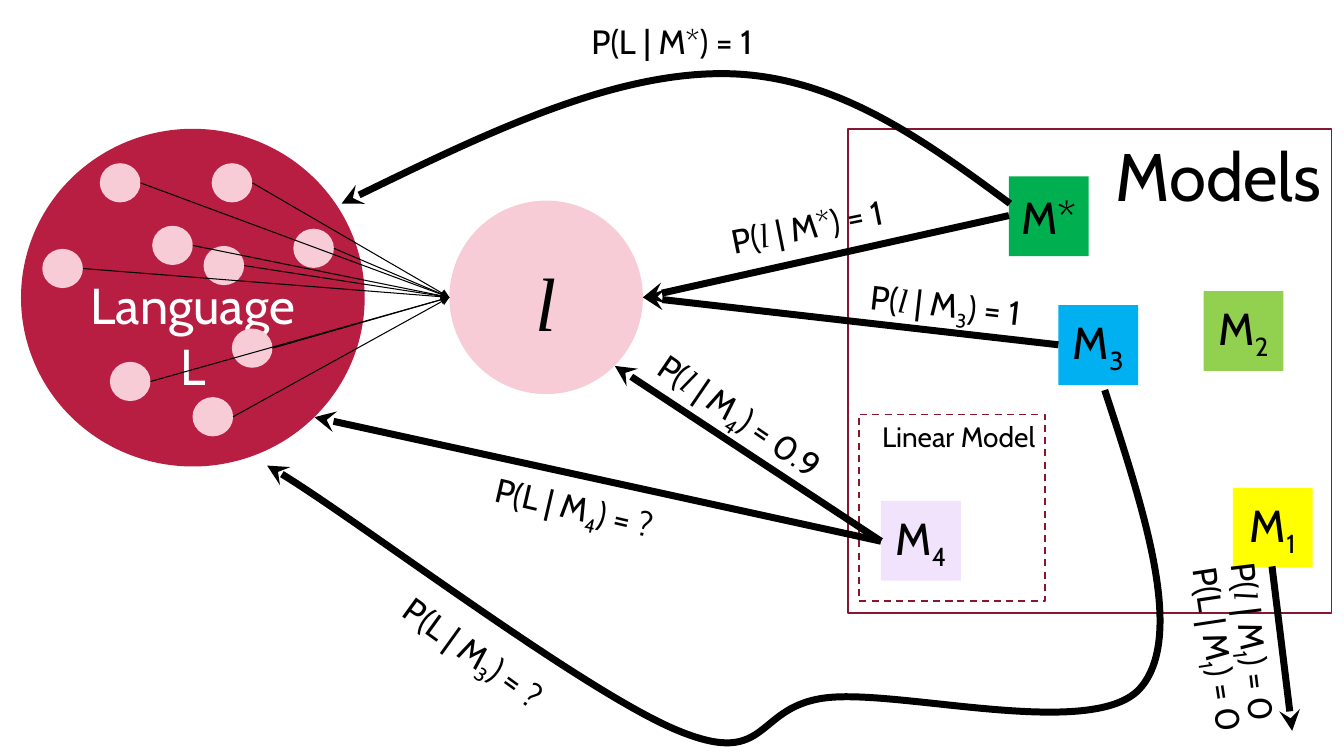
import pptx
import pptx.util
import pptx.dml.color
import pptx.enum.dml
import pptx.enum.shapes
import pptx.enum.text
import pptx.oxml.ns
import lxml.etree

Pt = pptx.util.Pt
qn = pptx.oxml.ns.qn
SHAPES = pptx.enum.shapes.MSO_SHAPE
ALIGN = pptx.enum.text.PP_ALIGN
ANCHOR = pptx.enum.text.MSO_ANCHOR

COLORS = {
    "language": "B71E42", "sample": "F7CCD6", "frame": "871631",
    "ink": "000000", "paper": "FFFFFF", "green": "00B050", "yellow": "FFFF00",
    "lime": "92D050", "blue": "00B0F0", "lilac": "F2E3FC",
}
SENTENCE_SIZE = (29, 28)
SENTENCES = [
    (151.2, 116.6), (71.3, 116.6), (30.2, 177.8), (108.7, 161.3), (145.4, 175.7),
    (209.5, 163.4), (78.5, 258.5), (165.6, 234.7), (137.5, 283.7),
]
LANGUAGE_BOX = (15, 92, 245.5, 241.2)
SAMPLE_BOX = (321, 143.3, 138.2, 138.2)
SAMPLE_LEFT, SAMPLE_RIGHT = (321, 212.4), (459.2, 212.4)
MODEL_SIZE = 57
MODELS = [
    ("M*", 720.7, 126, "green"), ("M1", 880.6, 348.5, "yellow"),
    ("M2", 859.7, 208, "lime"), ("M4", 629.3, 357.8, "lilac"),
    ("M3", 756, 218, "blue"),
]
FRAMES = [
    ("Models", 48, (605.5, 92.2, 345.6, 345.6), False),
    ("Linear Model", 20, (613.4, 296, 133.2, 133.2), True),
]
M4_EDGE = (629.3, 386.6)
ARROWS = [
    ((908.6, 404.6), (923, 522)), ((720.7, 154), SAMPLE_RIGHT),
    (M4_EDGE, (439.2, 261.4)), (M4_EDGE, (224.6, 298)),
    ((756, 246.3), SAMPLE_RIGHT),
]
CURVES = [
    [(721.4, 145.4), (658, 98.6), (594.7, 52.6), (515.5, 52.6),
     (435.6, 52.6), (339.8, 98.6), (244, 145.4)],
    [(789.1, 278.6), (817.9, 366.5), (846.7, 455), (814.3, 491.8),
     (781.2, 528.5), (647.3, 493.2), (592.6, 498.2),
     (537.8, 503.3), (551.5, 549.4), (484.6, 522),
     (417.6, 494.6), (234.7, 355.7), (190.8, 332.6)],
]
PROBABILITIES = [
    ("L", "M*", "1", 410.4, 11.5, 139, 0),
    ("L", "M4", "?", 340.6, 344.2, 139.7, 13.2),
    ("l", "M*", "1", 509, 143.3, 134.6, -11.4),
    ("l", "M4", "0.9", 451.4, 278.6, 154.8, 34.4),
    ("l", "M3", "1", 607, 199.4, 136.8, 6.4),
    ("L", "M3", "?", 268.6, 447.8, 139.7, 35.8),
    ("L", "M1", "0", 800.6, 445.7, 139, 81.4),
    ("l", "M1", "0", 828, 440.6, 134.6, 83.1),
]


def rgb(color):
    return pptx.dml.color.RGBColor.from_string(COLORS[color])


def model_runs(model):
    return [(model, "")] if model == "M*" else [(model[0], ""), (model[1], "sub")]


def probability_runs(target, model, value):
    opening = [("P(", ""), ("l", "italic"), (" | ", "")] if target == "l" else [("P(L | ", "")]
    return opening + model_runs(model) + [(f") = {value}", "")]


def write(shape, lines, size, color="ink", align=ALIGN.CENTER, anchor=ANCHOR.MIDDLE):
    frame = shape.text_frame
    frame.vertical_anchor = anchor
    for number, line in enumerate(lines):
        paragraph = frame.add_paragraph() if number else frame.paragraphs[0]
        paragraph.alignment = align
        paragraph.font.size = Pt(size)
        paragraph.font.name = "Cabin"
        paragraph.font.color.rgb = rgb(color)
        for text, style in line:
            run = paragraph.add_run()
            run.text = text
            if style == "italic":
                run.font.name = "Times New Roman"
                run.font.italic = True
            elif style == "sub":
                run.font._element.set("baseline", "-25000")


def add_block(slide, preset, box, fill):
    block = slide.shapes.add_shape(preset, *map(Pt, box))
    block.shadow.inherit = False
    block.line.fill.background()
    if fill:
        block.fill.solid()
        block.fill.fore_color.rgb = rgb(fill)
    else:
        block.fill.background()
    return block


def style_arrow(arrow, width, head):
    arrow.line.color.rgb = rgb("ink")
    arrow.line.width = Pt(width)
    properties = arrow._element.spPr
    lxml.etree.SubElement(properties.find(qn("a:ln")), qn("a:tailEnd"), type=head)
    if properties.find(qn("a:effectLst")) is None:
        lxml.etree.SubElement(properties, qn("a:effectLst"))


def add_arrow(slide, start, end, width, head):
    arrow = slide.shapes.add_connector(
        pptx.enum.shapes.MSO_CONNECTOR.STRAIGHT, *map(Pt, start + end))
    style_arrow(arrow, width, head)


def add_curve(slide, points):
    start, *controls = [(Pt(x), Pt(y)) for x, y in points]
    builder = slide.shapes.build_freeform(*start)
    builder.add_line_segments(controls, close=False)
    curve = builder.convert_to_shape()
    curve.fill.background()
    segments = list(curve._element.iter(qn("a:lnTo")))
    for first in range(0, len(segments), 3):
        bend = lxml.etree.Element(qn("a:cubicBezTo"))
        segments[first].addprevious(bend)
        for segment in segments[first:first + 3]:
            bend.append(segment[0])
            segment.getparent().remove(segment)
    style_arrow(curve, 5, "stealth")


def main():
    """Build the slide of models, a language and their probabilities."""
    deck = pptx.Presentation()
    deck.slide_width, deck.slide_height = Pt(960), Pt(540)
    slide = deck.slides.add_slide(deck.slide_layouts[6])

    language = add_block(slide, SHAPES.OVAL, LANGUAGE_BOX, "language")
    language.text_frame.margin_top = Pt(57)
    write(language, [[("Language", "")], [("L", "")]], 36, "paper")
    width, height = SENTENCE_SIZE
    for left, top in SENTENCES:
        add_block(slide, SHAPES.OVAL, (left, top, width, height), "sample")
    sample = add_block(slide, SHAPES.OVAL, SAMPLE_BOX, "sample")
    sample.text_frame.margin_top = Pt(8.6)
    write(sample, [[("l", "italic")]], 54)
    for left, top in SENTENCES:
        add_arrow(slide, (left + width, top + height / 2), SAMPLE_LEFT, 0.75, "triangle")

    for title, size, box, dashed in FRAMES:
        frame = add_block(slide, SHAPES.RECTANGLE, box, None)
        frame.line.color.rgb = rgb("frame")
        frame.line.width = Pt(1.25)
        if dashed:
            frame.line.dash_style = pptx.enum.dml.MSO_LINE.DASH
        write(frame, [[(title, "")]], size, align=ALIGN.RIGHT, anchor=ANCHOR.TOP)
    for model, left, top, fill in MODELS:
        square = add_block(slide, SHAPES.RECTANGLE, (left, top, MODEL_SIZE, MODEL_SIZE), fill)
        write(square, [model_runs(model)], 32)

    for start, end in ARROWS:
        add_arrow(slide, start, end, 5, "stealth")
    for points in CURVES:
        add_curve(slide, points)
    for target, model, value, left, top, span, angle in PROBABILITIES:
        label = slide.shapes.add_textbox(Pt(left), Pt(top), Pt(span), Pt(36))
        label.rotation = angle
        label.text_frame.word_wrap = False
        label.text_frame.auto_size = pptx.enum.text.MSO_AUTO_SIZE.SHAPE_TO_FIT_TEXT
        write(label, [probability_runs(target, model, value)], 24, anchor=ANCHOR.TOP)

    deck.save("out.pptx")


if __name__ == "__main__":
    main()
